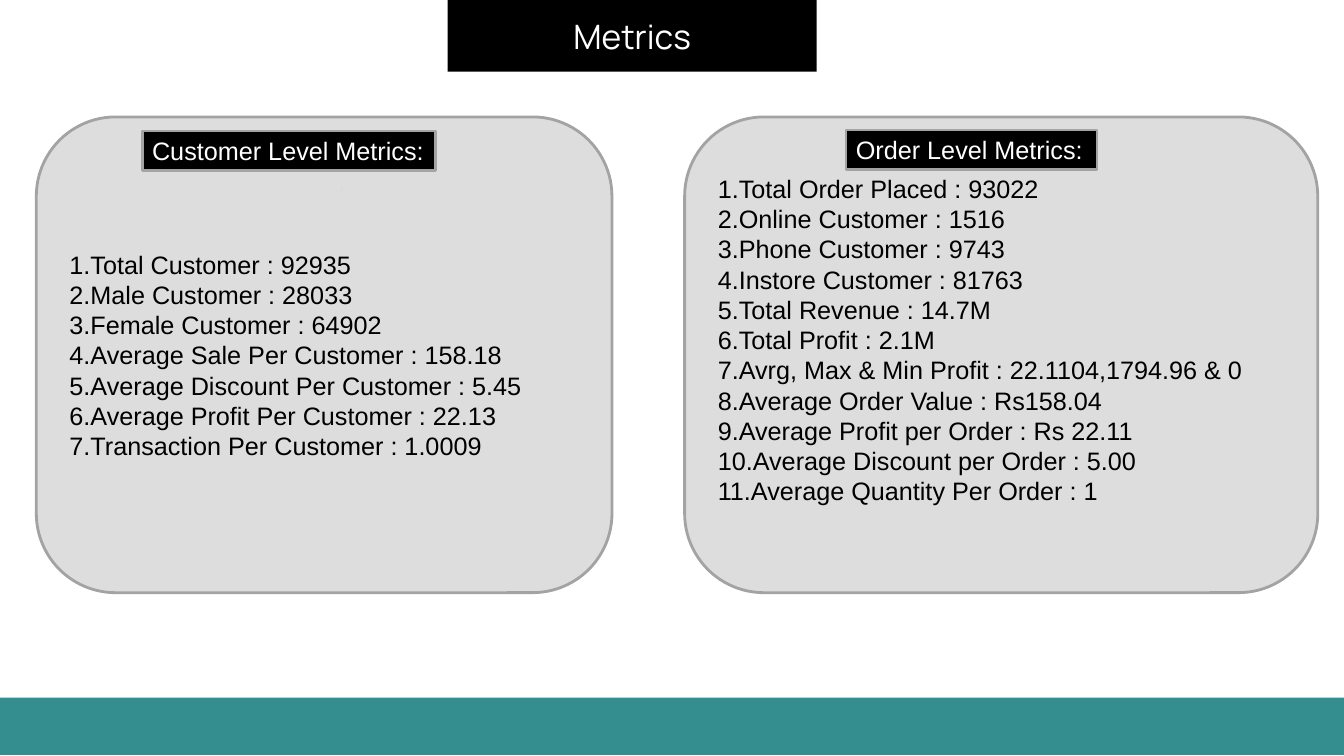
from dataclasses import dataclass

from lxml import etree
from pptx import Presentation
from pptx.dml.color import RGBColor
from pptx.enum.shapes import MSO_CONNECTOR, MSO_SHAPE
from pptx.enum.text import MSO_ANCHOR, MSO_AUTO_SIZE, PP_ALIGN
from pptx.oxml.ns import qn
from pptx.util import Inches, Pt

RECT, ROUNDED = MSO_SHAPE.RECTANGLE, MSO_SHAPE.ROUNDED_RECTANGLE
STRAIGHT = MSO_CONNECTOR.STRAIGHT
MIDDLE, NO_AUTOFIT = MSO_ANCHOR.MIDDLE, MSO_AUTO_SIZE.NONE
CENTER, JUSTIFY = PP_ALIGN.CENTER, PP_ALIGN.JUSTIFY


@dataclass(frozen=True)
class Theme:
    black: str = "000000"
    white: str = "FFFFFF"
    teal: str = "348E90"
    panel: str = "DDDDDD"
    border: str = "A3A3A3"
    tick: str = "D8D8D8"
    title_font: str = "Manrope"
    body_font: str = "Arial"
    title_size: int = 24
    body_size: int = 18
    border_width: float = 2
    tick_width: float = 0.75


THEME = Theme()
PANEL_TOP, PANEL_HEIGHT = 1.16, 4.72

CUSTOMER_METRICS = [
    "1.Total Customer : 92935",
    "2.Male Customer : 28033",
    "3.Female Customer : 64902",
    "4.Average Sale Per Customer : 158.18",
    "5.Average Discount Per Customer : 5.45",
    "6.Average Profit Per Customer : 22.13",
    "7.Transaction Per Customer : 1.0009",
]
ORDER_METRICS = [
    "1.Total Order Placed : 93022",
    "2.Online Customer : 1516",
    "3.Phone Customer : 9743",
    "4.Instore Customer : 81763",
    "5.Total Revenue : 14.7M",
    "6.Total Profit : 2.1M",
    "7.Avrg, Max & Min Profit : 22.1104,1794.96 & 0",
    "8.Average Order Value : Rs158.04",
    "9.Average Profit per Order : Rs 22.11",
    "10.Average Discount per Order : 5.00",
    "11.Average Quantity Per Order : 1",
]


def color(value):
    return RGBColor.from_string(value)


def write_text(shape, lines, *, ink=THEME.black, font=THEME.body_font,
               size=THEME.body_size, align=JUSTIFY, inset_y=0.05, bottom=None):
    frame = shape.text_frame
    frame.text = "\n".join(lines)
    frame.word_wrap = True
    frame.auto_size = NO_AUTOFIT
    frame.vertical_anchor = MIDDLE
    frame.margin_left = frame.margin_right = Inches(0.1)
    frame.margin_top = Inches(inset_y)
    frame.margin_bottom = Inches(inset_y if bottom is None else bottom)
    for paragraph in frame.paragraphs:
        paragraph.alignment = align
        paragraph.font.name = font
        paragraph.font.size = Pt(size)
        paragraph.font.color.rgb = color(ink)


def add_block(slide, kind, left, top, width, height, fill, border=None):
    block = slide.shapes.add_shape(
        kind, Inches(left), Inches(top), Inches(width), Inches(height))
    block.shadow.inherit = False
    block.fill.solid()
    block.fill.fore_color.rgb = color(fill)
    if border:
        block.line.color.rgb = color(border)
        block.line.width = Pt(THEME.border_width)
    else:
        block.line.fill.background()
    return block


def add_title(slide, text):
    title = slide.shapes.title
    title.left, title.top = Inches(4.44), Inches(0)
    title.width, title.height = Inches(3.66), Inches(0.71)
    title.fill.solid()
    title.fill.fore_color.rgb = color(THEME.black)
    write_text(title, [text], ink=THEME.white, font=THEME.title_font,
               size=THEME.title_size, align=CENTER, inset_y=0.1)


def add_panel(slide, left, width, metrics, bottom=0.05):
    panel = add_block(slide, ROUNDED, left, PANEL_TOP, width, PANEL_HEIGHT,
                      THEME.panel, THEME.border)
    write_text(panel, metrics, bottom=bottom)


def add_heading(slide, left, top, width, text):
    heading = add_block(slide, RECT, left, top, width, 0.39,
                        THEME.black, THEME.border)
    write_text(heading, [text], ink=THEME.white)


def add_tick(slide, x1, y1, x2, y2):
    tick = slide.shapes.add_connector(
        STRAIGHT, Inches(x1), Inches(y1), Inches(x2), Inches(y2))
    tick.line.color.rgb = color(THEME.tick)
    tick.line.width = Pt(THEME.tick_width)
    etree.SubElement(tick.element.spPr, qn("a:effectLst"))


def main():
    deck = Presentation()
    deck.slide_width, deck.slide_height = Inches(13.33), Inches(7.5)
    slide = deck.slides.add_slide(deck.slide_layouts[5])

    # Title and footer band
    add_title(slide, "Metrics")
    add_block(slide, RECT, 0, 6.92, 13.33, 0.57, THEME.teal)

    # Customer metrics
    add_panel(slide, 0.36, 5.71, CUSTOMER_METRICS)
    add_tick(slide, 3.4, 1.86, 3.38, 1.9)
    add_heading(slide, 1.41, 1.3, 2.91, "Customer Level Metrics:")

    # Order metrics, with the list raised by half a line
    add_panel(slide, 6.79, 6.28, ORDER_METRICS, bottom=0.35)
    add_heading(slide, 8.39, 1.29, 2.49, "Order Level Metrics:")

    deck.save("out.pptx")


if __name__ == "__main__":
    main()
